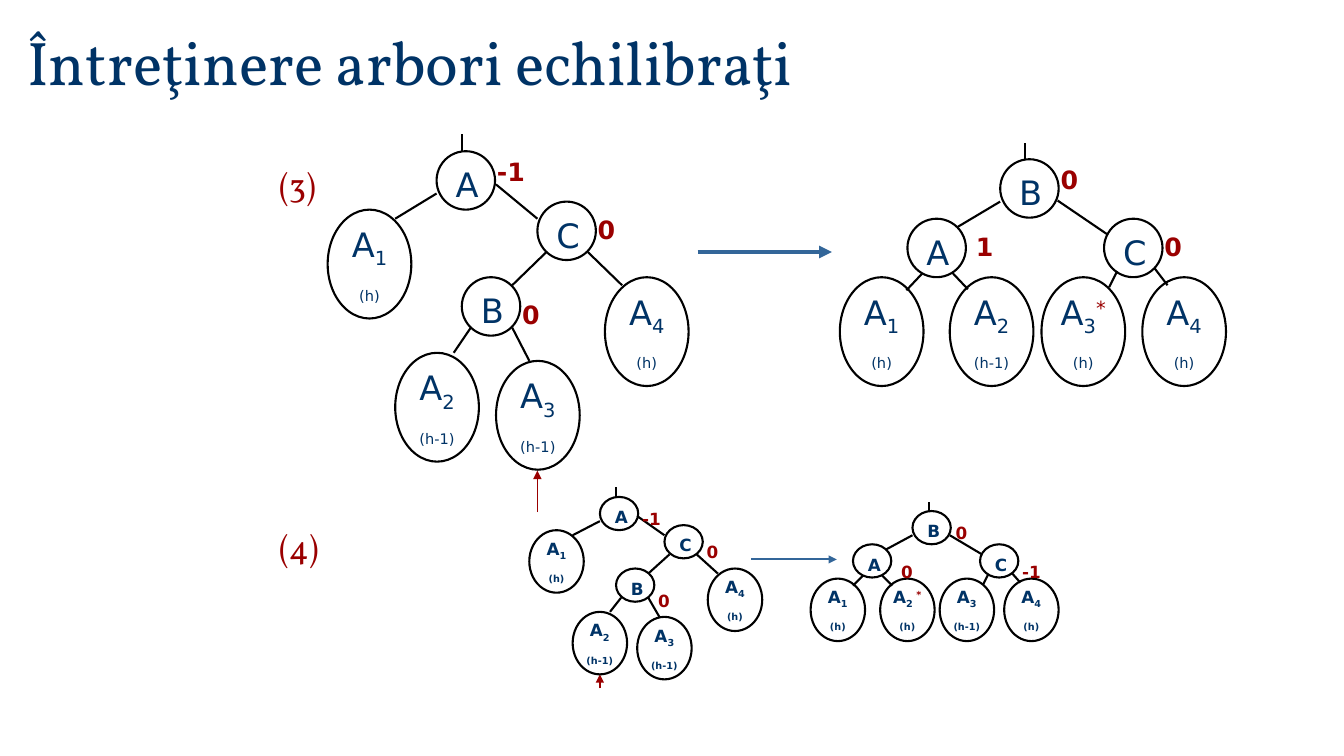
"""Build a slide showing two rebalancing cases of balanced binary trees."""
from lxml.etree import SubElement
from pptx import Presentation
from pptx.dml.color import RGBColor
from pptx.enum.shapes import MSO_CONNECTOR as Connector, MSO_SHAPE as Shape
from pptx.enum.text import MSO_ANCHOR as Anchor, MSO_AUTO_SIZE as AutoSize, PP_ALIGN as Align
from pptx.oxml.ns import qn
from pptx.util import Inches, Pt

NAVY = RGBColor(0x00, 0x33, 0x66)
RED = RGBColor(0x9A, 0x00, 0x00)
BLUE = RGBColor(0x33, 0x66, 0x99)
BLACK = RGBColor(0x00, 0x00, 0x00)
WHITE = RGBColor(0xFF, 0xFF, 0xFF)
SUB, SUPER = -25, 30

LARGE = {"node": (0.58, 0.58), "leaf": (0.83, 1.08), "inset": (0.09, 0.08), "letter": (0.42, 0.5),
         "balance": {"0": 0.38, "1": 0.38, "-1": 0.5}, "balance_height": 0.4,
         "size": 24, "small": 18, "bold": False}
COMPACT = {"node": (0.38, 0.33), "leaf": (0.54, 0.62), "inset": (0.05, 0.05), "letter": (0.27, 0.3),
           "balance": {"0": 0.32, "-1": 0.4}, "balance_height": 0.3,
           "size": 12, "small": 12, "bold": True}

TREES = [
    {"style": LARGE,
     "nodes": [("A", 4.33, 1.5), ("B", 4.58, 2.75), ("C", 5.33, 2)],
     "leaves": [("1", "", "(h)", 3.25, 2.08), ("2", "", "(h-1)", 3.92, 3.5),
                ("3", "", "(h-1)", 4.92, 3.58), ("4", "", "(h)", 6, 2.75)],
     "edges": [(4.58, 1.5, 4.58, 1.33), (4.92, 1.83, 5.33, 2.17), (4.33, 1.92, 3.92, 2.17),
               (5.42, 2.5, 5.08, 2.83), (5.83, 2.5, 6.17, 2.83), (4.67, 3.25, 4.5, 3.5),
               (5.08, 3.25, 5.25, 3.58)],
     "balances": [("0", 5.08, 2.92), ("0", 5.83, 2.08), ("-1", 4.83, 1.5)]},
    {"style": LARGE,
     "nodes": [("A", 9, 2.17), ("B", 9.92, 1.58), ("C", 10.95, 2.17)],
     "leaves": [("1", "", "(h)", 8.33, 2.75), ("2", "", "(h-1)", 9.42, 2.75),
                ("3", "*", "(h)", 10.33, 2.75), ("4", "", "(h)", 11.33, 2.75)],
     "edges": [(10.17, 1.58, 10.17, 1.42), (10.49, 1.99, 10.99, 2.33), (9.15, 2.71, 8.99, 2.88),
               (11.08, 2.69, 11, 2.85), (11.45, 2.66, 11.58, 2.83), (9.44, 2.7, 9.6, 2.87),
               (9.92, 2, 9.5, 2.25)],
     "balances": [("1", 9.58, 2.25), ("0", 11.45, 2.25), ("0", 10.42, 1.58)]},
    {"style": COMPACT,
     "nodes": [("A", 5.95, 4.93), ("B", 6.11, 5.64), ("C", 6.59, 5.21)],
     "leaves": [("1", "", "(h)", 5.25, 5.26), ("2", "", "(h-1)", 5.68, 6.07),
                ("3", "", "(h-1)", 6.32, 6.12), ("4", "", "(h)", 7.02, 5.64)],
     "edges": [(6.11, 4.93, 6.11, 4.83), (6.32, 5.12, 6.59, 5.31), (5.95, 5.17, 5.68, 5.31),
               (6.64, 5.5, 6.43, 5.69), (6.91, 5.5, 7.12, 5.69), (6.16, 5.93, 6.05, 6.07),
               (6.43, 5.93, 6.54, 6.12)],
     "balances": [("0", 6.43, 5.81), ("0", 6.91, 5.33), ("-1", 6.27, 5)]},
    {"style": COMPACT,
     "nodes": [("A", 8.46, 5.4), ("B", 9.05, 5.07), ("C", 9.72, 5.4)],
     "leaves": [("1", "", "(h)", 8.04, 5.74), ("2 ", "*", "(h)", 8.73, 5.74),
                ("3", "", "(h-1)", 9.32, 5.74), ("4", "", "(h)", 9.96, 5.74)],
     "edges": [(9.21, 5.07, 9.21, 4.98), (9.42, 5.31, 9.74, 5.5), (8.56, 5.71, 8.46, 5.81),
               (9.8, 5.7, 9.75, 5.8), (10.04, 5.69, 10.12, 5.78), (8.75, 5.71, 8.85, 5.81),
               (9.05, 5.31, 8.79, 5.45)],
     "balances": [("0", 8.84, 5.52), ("-1", 10.04, 5.52), ("0", 9.38, 5.14)]},
]


def write_text(box, lines, font="DejaVu Sans", bold=False, **frame_format):
    """Fill a box with lines of (text, size, colour, baseline) spans."""
    frame = box.text_frame
    for name, value in frame_format.items():
        setattr(frame, name, value)
    for number, line in enumerate(lines):
        para = frame.add_paragraph() if number else frame.paragraphs[0]
        para.alignment = Align.CENTER if len(lines) > 1 else Align.LEFT
        for text, size, color, baseline in line:
            span = para.add_run()
            span.text = text
            for name, value in {"name": font, "size": Pt(size), "bold": bold}.items():
                setattr(span.font, name, value)
            span.font.color.rgb = color
            if baseline:
                span._r.get_or_add_rPr().set("baseline", str(baseline * 1000))


def draw_line(shapes, ends, color=BLACK, width=1.5, arrow=False):
    """Draw a straight line, optionally with an arrowhead at its end."""
    line = shapes.add_connector(Connector.STRAIGHT, *map(Inches, ends))
    line.line.color.rgb = color
    line.line.width = Pt(width)
    properties = line._element.spPr
    if arrow:
        SubElement(properties.find(qn("a:ln")), qn("a:tailEnd"), type="triangle")
    SubElement(properties, qn("a:effectLst"))


deck = Presentation()
deck.slide_width, deck.slide_height = Inches(13.33), Inches(7.5)
page = deck.slides.add_slide(deck.slide_layouts[6])

for ends, color, width in [((5.33, 5.08, 5.33, 4.67), RED, 0.75),
                           ((6.92, 2.5, 8.25, 2.5), BLUE, 3),
                           ((5.95, 6.83, 5.95, 6.69), RED, 1.5),
                           ((7.45, 5.55, 8.3, 5.55), BLUE, 1.5)]:
    draw_line(page.shapes, ends, color, width, arrow=True)

for tree in TREES:
    style = tree["style"]
    size, small, bold = style["size"], style["small"], style["bold"]
    shapes = page.shapes.add_group_shape().shapes
    ovals = [(left, top, *style["node"], None) for letter, left, top in tree["nodes"]]
    for index, star, height, left, top in tree["leaves"]:
        label = [("A", size, NAVY, 0), (index, size, NAVY, SUB)]
        if star:
            label.append((star, size, RED, SUPER))
        ovals.append((left, top, *style["leaf"], [label, [(height, small, NAVY, SUB)]]))

    for *place, lines in ovals:
        oval = shapes.add_shape(Shape.OVAL, *map(Inches, place))
        oval.shadow.inherit = False
        oval.fill.solid()
        oval.fill.fore_color.rgb = WHITE
        oval.line.color.rgb = BLACK
        oval.line.width = Pt(1.5)
        if lines:
            write_text(oval, lines, bold=bold, word_wrap=False, vertical_anchor=Anchor.MIDDLE)

    for letter, left, top in tree["nodes"]:
        inset_left, inset_top = style["inset"]
        place = (left + inset_left, top + inset_top, *style["letter"])
        box = shapes.add_textbox(*map(Inches, place))
        write_text(box, [[(letter, size, NAVY, 0)]], bold=bold,
                   word_wrap=True, auto_size=AutoSize.SHAPE_TO_FIT_TEXT)

    for ends in tree["edges"]:
        draw_line(shapes, ends)

    for balance, left, top in tree["balances"]:
        place = (left, top, style["balance"][balance], style["balance_height"])
        box = shapes.add_textbox(*map(Inches, place))
        write_text(box, [[(balance, small, RED, 0)]], bold=True,
                   word_wrap=False, auto_size=AutoSize.SHAPE_TO_FIT_TEXT)

for text, place, size, color, anchor in [
        ("(3)", (2.67, 1.58, 0.67, 0.5), 24, RED, Anchor.TOP),
        ("(4)", (2.67, 5.17, 0.67, 0.5), 24, RED, Anchor.TOP),
        ("Întreţinere arbori echilibraţi", (0.17, 0.18, 11.5, 0.84), 44, NAVY, Anchor.BOTTOM)]:
    box = page.shapes.add_textbox(*map(Inches, place))
    write_text(box, [[(text, size, color, 0)]], font="Vollkorn", word_wrap=True,
               vertical_anchor=anchor, auto_size=AutoSize.SHAPE_TO_FIT_TEXT)

deck.save("out.pptx")
